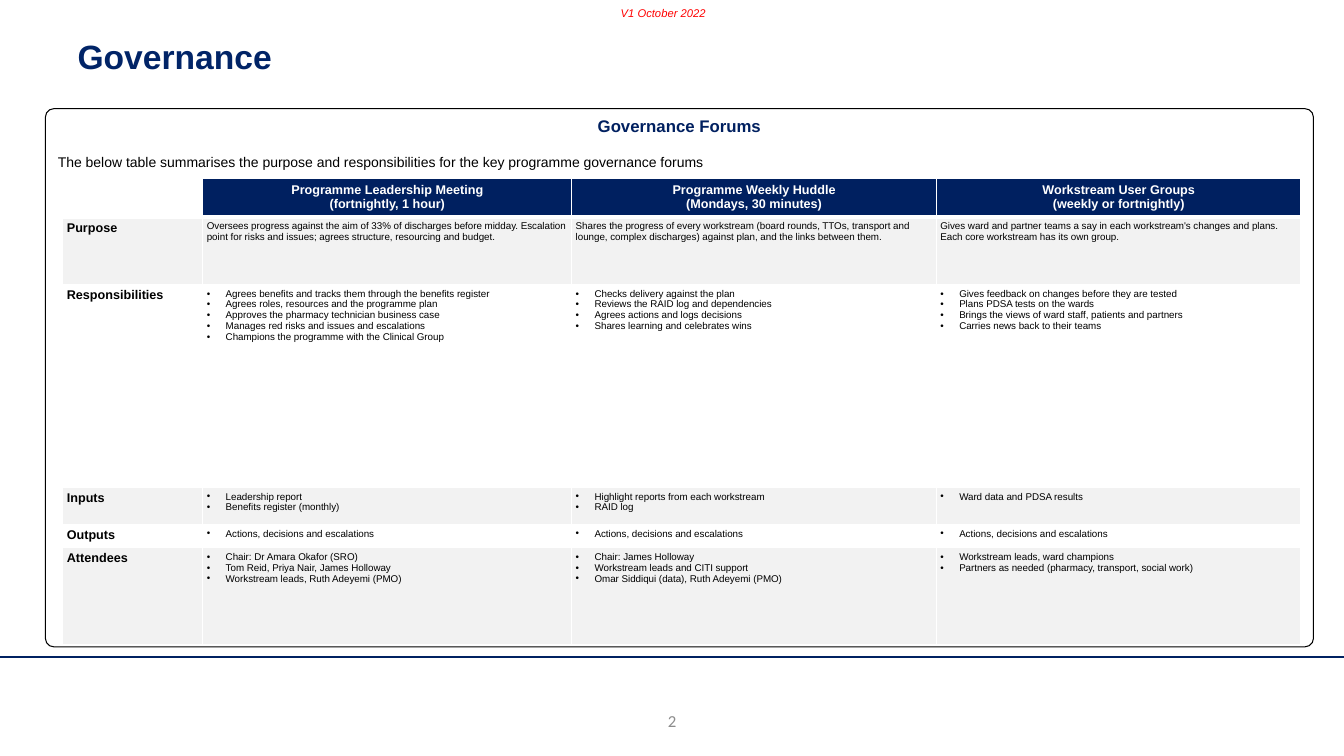
from dataclasses import dataclass

from lxml.etree import SubElement
from pptx import Presentation
from pptx.dml.color import RGBColor
from pptx.enum.shapes import MSO_CONNECTOR, MSO_SHAPE
from pptx.enum.text import MSO_ANCHOR as Anchor, MSO_AUTO_SIZE as AutoSize, PP_ALIGN as Align
from pptx.oxml import parse_xml
from pptx.oxml.ns import nsdecls, qn
from pptx.util import Pt

NAVY = RGBColor(0x00, 0x20, 0x60)
TITLE_NAVY = RGBColor(0x01, 0x24, 0x67)
RULE_NAVY = RGBColor(0x00, 0x21, 0x61)
BLACK = RGBColor(0x00, 0x00, 0x00)
WHITE = RGBColor(0xFF, 0xFF, 0xFF)
PALE_GREY = RGBColor(0xF2, 0xF2, 0xF2)
PAGE_GREY = RGBColor(0x8C, 0x8C, 0x8C)
RED = RGBColor(0xFF, 0x00, 0x00)

CELL_MARGIN = 2.88
BULLET_INDENT = 13.5
COLUMN_WIDTHS = [100, 263.5, 260.5, 260.5]


@dataclass(frozen=True)
class TextStyle:
    size: float
    color: RGBColor = BLACK
    bold: bool = False
    italic: bool = False
    font: str = "Arial"
    align: Align = Align.LEFT


@dataclass(frozen=True)
class ForumRow:
    label: str
    height: float
    entries: list[list[str]]
    fill: RGBColor
    bulleted: bool = True


HEADER = TextStyle(9, WHITE, bold=True, align=Align.CENTER)
LABEL = TextStyle(9, bold=True)
BODY = TextStyle(7)

FORUMS = [
    ["Programme Leadership Meeting", "(fortnightly, 1 hour)"],
    ["Programme Weekly Huddle", "(Mondays, 30 minutes)"],
    ["Workstream User Groups", "(weekly or fortnightly)"],
]
HEADER_HEIGHT = 26.64
ROWS = [
    ForumRow("Purpose", 48.2, [
        ["Oversees progress against the aim of 33% of discharges before midday. Escalation "
         "point for risks and issues; agrees structure, resourcing and budget."],
        ["Shares the progress of every workstream (board rounds, TTOs, transport and lounge, "
         "complex discharges) against plan, and the links between them."],
        ["Gives ward and partner teams a say in each workstream's changes and plans. "
         "Each core workstream has its own group."],
    ], PALE_GREY, bulleted=False),
    ForumRow("Responsibilities", 145, [
        ["Agrees benefits and tracks them through the benefits register",
         "Agrees roles, resources and the programme plan",
         "Approves the pharmacy technician business case",
         "Manages red risks and issues and escalations",
         "Champions the programme with the Clinical Group"],
        ["Checks delivery against the plan",
         "Reviews the RAID log and dependencies",
         "Agrees actions and logs decisions",
         "Shares learning and celebrates wins"],
        ["Gives feedback on changes before they are tested",
         "Plans PDSA tests on the wards",
         "Brings the views of ward staff, patients and partners",
         "Carries news back to their teams"],
    ], WHITE),
    ForumRow("Inputs", 26.4, [
        ["Leadership report", "Benefits register (monthly)"],
        ["Highlight reports from each workstream", "RAID log"],
        ["Ward data and PDSA results"],
    ], PALE_GREY),
    ForumRow("Outputs", 16, [["Actions, decisions and escalations"]] * 3, WHITE),
    ForumRow("Attendees", 69.8, [
        ["Chair: Dr Amara Okafor (SRO)",
         "Tom Reid, Priya Nair, James Holloway",
         "Workstream leads, Ruth Adeyemi (PMO)"],
        ["Chair: James Holloway",
         "Workstream leads and CITI support",
         "Omar Siddiqui (data), Ruth Adeyemi (PMO)"],
        ["Workstream leads, ward champions",
         "Partners as needed (pharmacy, transport, social work)"],
    ], PALE_GREY),
]


def format_para(para, style: TextStyle) -> None:
    para.alignment = style.align
    for span in para.runs:
        font = span.font
        font.name, font.size = style.font, Pt(style.size)
        font.bold, font.italic = style.bold, style.italic
        font.color.rgb = style.color


def add_bullet(para) -> None:
    properties = para._p.get_or_add_pPr()
    properties.set("marL", str(Pt(BULLET_INDENT)))
    properties.set("indent", str(-Pt(BULLET_INDENT)))
    SubElement(properties, qn("a:buFont"), typeface="Arial")
    SubElement(properties, qn("a:buChar"), char="•")


def set_borders(cell, top: float, bottom: float) -> None:
    properties = cell._tc.get_or_add_tcPr()
    sides = [("lnL", 1), ("lnR", 1), ("lnT", top), ("lnB", bottom)]
    for position, (side, width) in enumerate(sides):
        properties.insert(position, parse_xml(
            f'<a:{side} {nsdecls("a")} w="{Pt(width)}"><a:solidFill>'
            f'<a:srgbClr val="{WHITE}"/></a:solidFill></a:{side}>'))


def fill_cell(cell, lines: list[str], style: TextStyle, fill: RGBColor,
              bulleted: bool = False) -> None:
    cell.margin_left = cell.margin_right = Pt(CELL_MARGIN)
    cell.margin_top = cell.margin_bottom = Pt(CELL_MARGIN)
    cell.fill.solid()
    cell.fill.fore_color.rgb = fill
    cell.text_frame.text = "\n".join(lines)
    for para in cell.text_frame.paragraphs:
        if bulleted:
            add_bullet(para)
        format_para(para, style)


def add_label(page, text: str, left: float, top: float, width: float, height: float,
              style: TextStyle, wrap: bool = True):
    box = page.shapes.add_textbox(Pt(left), Pt(top), Pt(width), Pt(height))
    frame = box.text_frame
    frame.text = text
    frame.word_wrap = wrap
    format_para(frame.paragraphs[0], style)
    return frame


def add_panel(page) -> None:
    panel = page.shapes.add_shape(MSO_SHAPE.ROUNDED_RECTANGLE,
                                  Pt(32.4), Pt(77.6), Pt(905.8), Pt(384.5))
    panel.adjustments[0] = 0.016
    panel.shadow.inherit = False
    panel.fill.solid()
    panel.fill.fore_color.rgb = WHITE
    panel.line.color.rgb = BLACK
    panel.line.width = Pt(0.75)
    frame = panel.text_frame
    frame.vertical_anchor = Anchor.TOP
    frame.text = ("Governance Forums\n"
                  "The below table summarises the purpose and responsibilities "
                  "for the key programme governance forums")
    heading, summary = frame.paragraphs
    format_para(heading, TextStyle(12, NAVY, bold=True, align=Align.CENTER))
    heading.space_after = Pt(12)
    format_para(summary, TextStyle(10))


def add_forum_table(page) -> None:
    heights = [HEADER_HEIGHT] + [row.height for row in ROWS]
    table = page.shapes.add_table(len(heights), len(COLUMN_WIDTHS), Pt(44.9), Pt(127.4),
                                  Pt(sum(COLUMN_WIDTHS)), Pt(sum(heights))).table
    table.first_row = table.horz_banding = False
    for column, width in zip(table.columns, COLUMN_WIDTHS):
        column.width = Pt(width)
    for table_row, height in zip(table.rows, heights):
        table_row.height = Pt(height)

    # Header row
    fill_cell(table.cell(0, 0), [], LABEL, WHITE)
    table.cell(0, 0).text_frame.paragraphs[0].font.size = Pt(LABEL.size)
    for number, lines in enumerate(FORUMS, 1):
        cell = table.cell(0, number)
        fill_cell(cell, lines, HEADER, NAVY)
        cell.vertical_anchor = Anchor.MIDDLE

    # Body rows
    for index, row in enumerate(ROWS, 1):
        fill_cell(table.cell(index, 0), [row.label], LABEL, row.fill)
        for number, lines in enumerate(row.entries, 1):
            fill_cell(table.cell(index, number), lines, BODY, row.fill, row.bulleted)

    # White grid, thicker below the header
    for index, table_row in enumerate(table.rows):
        for cell in table_row.cells:
            set_borders(cell, top=3 if index == 1 else 1, bottom=3 if index == 0 else 1)


def main() -> None:
    deck = Presentation()
    deck.slide_width, deck.slide_height = Pt(960), Pt(540)
    page = deck.slides.add_slide(deck.slide_layouts[5])

    # Title
    title = page.shapes.title
    title.left, title.top, title.width, title.height = Pt(48.2), Pt(18), Pt(690), Pt(48.2)
    title.text_frame.text = "Governance"
    title.text_frame.vertical_anchor = Anchor.MIDDLE
    title_para = title.text_frame.paragraphs[0]
    title_para.line_spacing = 0.9
    format_para(title_para, TextStyle(24, TITLE_NAVY, bold=True))

    # Footer rule and page number
    rule = page.shapes.add_connector(MSO_CONNECTOR.STRAIGHT, 0, Pt(469.4), Pt(960), Pt(469.4))
    rule.line.color.rgb = RULE_NAVY
    rule.line.width = Pt(1)
    SubElement(rule._element.spPr, qn("a:effectLst"))
    number = add_label(page, "2", 404.6, 500.4, 151, 28.8,
                       TextStyle(12, PAGE_GREY, font="Calibri", align=Align.CENTER))
    number.vertical_anchor = Anchor.MIDDLE

    # Forums panel and version mark
    add_panel(page)
    add_forum_table(page)
    version = add_label(page, "V1 October 2022", 436.3, 0.7, 76.3, 17,
                        TextStyle(8, RED, italic=True), wrap=False)
    version.auto_size = AutoSize.SHAPE_TO_FIT_TEXT

    deck.save("out.pptx")


if __name__ == "__main__":
    main()
